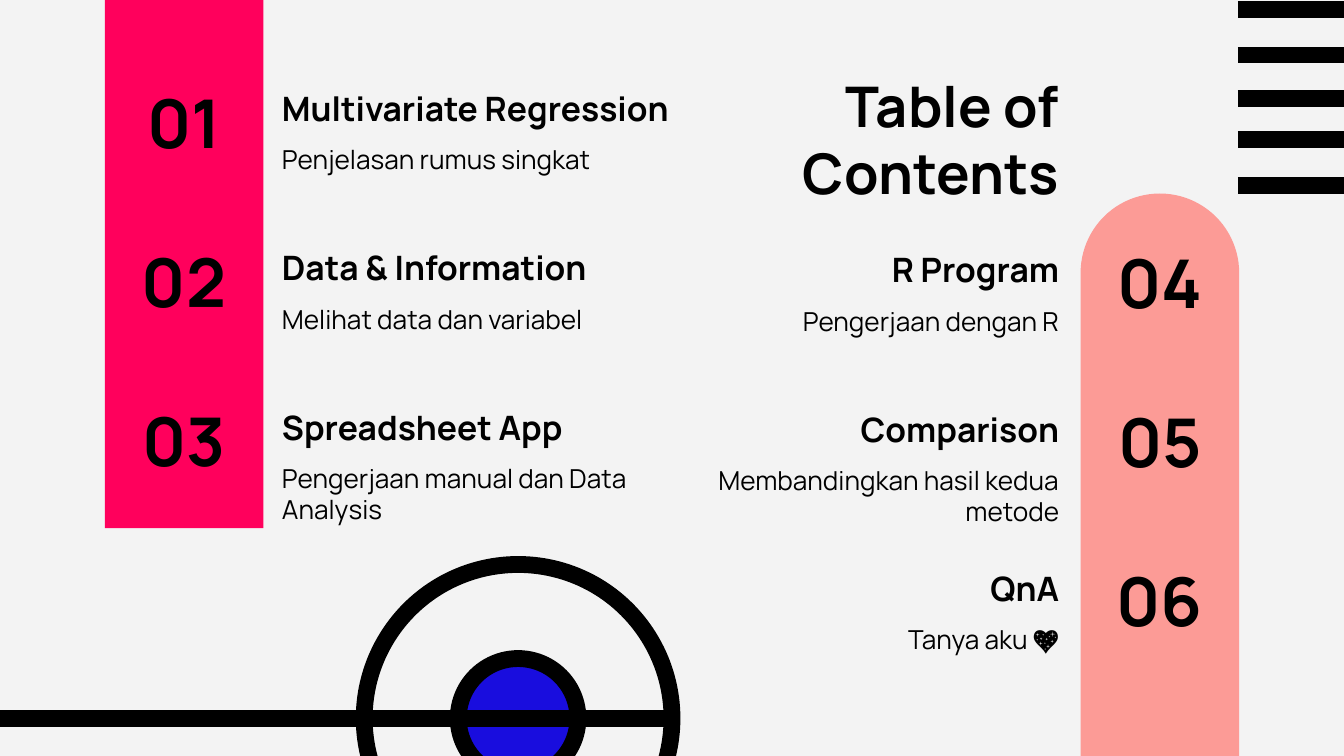
from lxml import etree
from pptx import Presentation
from pptx.dml.color import RGBColor
from pptx.enum import shapes, text
from pptx.oxml import ns
from pptx.util import Inches, Pt

BLACK = RGBColor(0x00, 0x00, 0x00)
PAPER = RGBColor(0xF3, 0xF3, 0xF3)
PINK = RGBColor(0xFF, 0x00, 0x5C)
SALMON = RGBColor(0xFC, 0x9B, 0x96)
BLUE = RGBColor(0x19, 0x0D, 0xDE)
FONT = "Manrope"
STROKE = Pt(9)
WIDTH = 10
HEIGHT = WIDTH * 9 / 16
PITCH = 2.37 / 2

LEFT = [
    ("01", "Multivariate Regression", "Penjelasan rumus singkat"),
    ("02", "Data & Information", "Melihat data dan variabel"),
    ("03", "Spreadsheet App", "Pengerjaan manual dan Data Analysis"),
]
RIGHT = [
    ("04", "R Program", "Pengerjaan dengan R"),
    ("05", "Comparison", "Membandingkan hasil kedua metode"),
    ("06", "QnA", "Tanya aku 💖"),
]


def place(shape, box):
    shape.left, shape.top, shape.width, shape.height = map(Inches, box)


def write(shape, words, size, align, bold=True, middle=True):
    frame = shape.text_frame
    frame.text = words
    frame.word_wrap = True
    frame.auto_size = text.MSO_AUTO_SIZE.NONE
    frame.margin_left = frame.margin_right = Inches(0.1)
    frame.margin_top = frame.margin_bottom = Inches(0.1)
    anchor = text.MSO_ANCHOR
    frame.vertical_anchor = anchor.MIDDLE if middle else anchor.TOP
    line = frame.paragraphs[0]
    line.alignment = align
    line.font.name = FONT
    line.font.size = Pt(size)
    line.font.bold = bold
    line.font.color.rgb = BLACK


def label(slide, box, *args, **style):
    write(slide.shapes.add_textbox(*map(Inches, box)), *args, **style)


def block(slide, kind, box, fill=None, outline=False):
    shape = slide.shapes.add_shape(kind, *map(Inches, box))
    shape.shadow.inherit = False
    if fill is None:
        shape.fill.background()
    else:
        shape.fill.solid()
        shape.fill.fore_color.rgb = fill
    if outline:
        shape.line.color.rgb = BLACK
        shape.line.width = STROKE
    else:
        shape.line.fill.background()
    return shape


def rule(slide, left, right, y):
    """Draw a thick level line."""
    line = slide.shapes.add_connector(
        shapes.MSO_CONNECTOR.STRAIGHT, Inches(left), Inches(y), Inches(right), Inches(y))
    line.line.color.rgb = BLACK
    line.line.width = STROKE
    etree.SubElement(line._element.spPr, ns.qn("a:effectLst"))


def stripes(slide, box):
    left, top, width, _ = box
    for drop in (0, 0.34, 0.66, 0.97, 1.31):
        rule(slide, left, left + width, top + drop)


def target(slide, box):
    """Draw two rings around one centre, with a line in from the left edge."""
    left, top, size, _ = box
    core = 0.89
    inset = (size - core) / 2
    oval = shapes.MSO_SHAPE.OVAL
    block(slide, oval, box, outline=True)
    block(slide, oval, (left + inset, top + inset, core, core), BLUE, outline=True)
    rule(slide, 0, left + size, top + size / 2)


def column(slide, box, kind, fill, first, items, flip=False):
    """Place a bar with its numbers; flip puts the words to its left."""
    left, _, width, _ = box
    bar = block(slide, kind, box, fill)
    if kind == shapes.MSO_SHAPE.ROUND_2_SAME_RECTANGLE:
        bar.adjustments[0] = 0.5
    wide = 2.8 if flip else 3.33
    side = left - 0.06 - wide if flip else left + width + 0.04
    lift = 0 if flip else 0.01
    align = text.PP_ALIGN.RIGHT if flip else text.PP_ALIGN.LEFT
    for row, (number, head, note) in enumerate(items):
        top = first + row * PITCH
        label(slide, (side, top - lift, wide, 0.45), head, 18, align)
        label(slide, (side, top - lift + 0.39, 2.8, 0.63),
              note, 14, align, bold=False, middle=False)
        label(slide, (left + 0.04, top, width - 0.08, 0.63), number, 36,
              text.PP_ALIGN.CENTER)


def contents(deck):
    slide = deck.slides.add_slide(deck.slide_layouts[5])
    slide.background.fill.solid()
    slide.background.fill.fore_color.rgb = PAPER
    stripes(slide, (9.21, 0.07, WIDTH - 9.21, 1.31))
    target(slide, (2.71, 4.2, 2.29, 2.29))
    kind = shapes.MSO_SHAPE
    column(slide, (8.04, 1.44, 1.18, HEIGHT - 1.44),
           kind.ROUND_2_SAME_RECTANGLE, SALMON, 1.78, RIGHT, flip=True)
    column(slide, (0.78, 0, 1.18, 3.93), kind.RECTANGLE, PINK, 0.59, LEFT)
    title = slide.shapes.title
    place(title, (4.91, 0.59, 3.07, 0.88))
    write(title, "Table of Contents", 30, text.PP_ALIGN.RIGHT)


def main():
    deck = Presentation()
    deck.slide_width, deck.slide_height = Inches(WIDTH), Inches(HEIGHT)
    contents(deck)
    deck.save("out.pptx")


if __name__ == "__main__":
    main()
